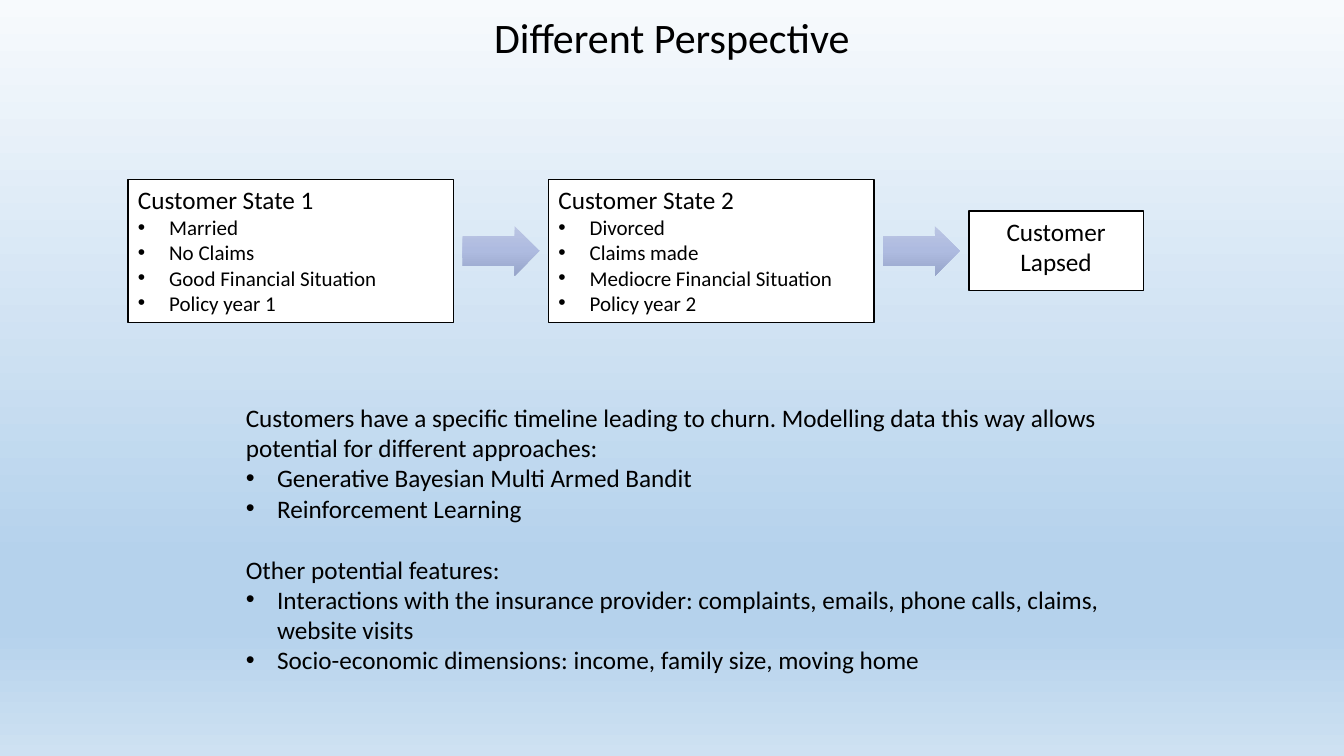
from dataclasses import dataclass

from lxml.etree import SubElement
from pptx import Presentation
from pptx.dml.color import RGBColor
from pptx.enum.shapes import MSO_SHAPE as SHAPE
from pptx.enum.text import MSO_ANCHOR as ANCHOR, MSO_AUTO_SIZE as FIT, PP_ALIGN as ALIGN
from pptx.oxml.ns import qn
from pptx.util import Inches, Pt

# Content: each text line is (text, is_bullet)
TITLE = "Different Perspective"
STATES = [
    ("Customer State 1", ["Married", "No Claims", "Good Financial Situation", "Policy year 1"]),
    ("Customer State 2", ["Divorced", "Claims made", "Mediocre Financial Situation", "Policy year 2"]),
]
OUTCOME = "Customer Lapsed"
NOTES = [
    ("Customers have a specific timeline leading to churn. Modelling data this way "
     "allows potential for different approaches:",
     ["Generative Bayesian Multi Armed Bandit", "Reinforcement Learning"]),
    ("Other potential features:",
     ["Interactions with the insurance provider: complaints, emails, phone calls, "
      "claims, website visits",
      "Socio-economic dimensions: income, family size, moving home"]),
]


@dataclass(frozen=True)
class Theme:
    font: str = "Calibri"
    ink: str = "000000"
    paper: str = "FFFFFF"
    sky: tuple = ((0, "F7FAFD"), (74, "B5D2EC"), (83, "B5D2EC"), (100, "CEE1F2"))
    arrow: tuple = ((0, "BBC5E3"), (50, "AEBBE0"), (100, "97A5CA"))
    title: int = 30
    body: int = 18
    detail: int = 15
    section_gap: int = 22


T = Theme()

# Layout in inches: a row of steps with an equal pitch, centred on one line
W, H = 13.33, 7.5
ROW_LEFT, ROW_MID, PITCH = 1.27, 2.49, 4.17
STATE_W, STATE_H = 3.23, 1.42
OUTCOME_W, OUTCOME_H = 1.73, 0.79
ARROW_W, ARROW_H = 0.76, 0.49
INDENT = 0.31


def box(left, top, width, height):
    return [Inches(v) for v in (left, top, width, height)]


def gradient(fill, stops):
    """Fill from top to bottom with stops of (percent, colour)."""
    fill.gradient()
    fill.gradient_angle = 270
    gs_list = fill.gradient_stops[0]._gs.getparent()
    for gs in list(gs_list):
        gs_list.remove(gs)
    for percent, color in stops:
        gs = SubElement(gs_list, qn("a:gs"), pos=str(percent * 1000))
        SubElement(gs, qn("a:srgbClr"), val=color)


def style(p, size, align=ALIGN.LEFT):
    p.alignment = align
    for r in p.runs:
        r.font.name, r.font.size = T.font, Pt(size)
        r.font.color.rgb = RGBColor.from_string(T.ink)


def write(tf, sections, detail_size):
    """Write sections of (heading, bullets) into a text frame."""
    tf.word_wrap, tf.auto_size, tf.vertical_anchor = True, FIT.NONE, ANCHOR.TOP
    for i, (heading, bullets) in enumerate(sections):
        p = tf.add_paragraph() if i else tf.paragraphs[0]
        p.text = heading
        if i:
            p.space_before = Pt(T.section_gap)
        style(p, T.body)
        for text in bullets:
            p = tf.add_paragraph()
            p.text = text
            pPr = p._p.get_or_add_pPr()
            pPr.set("marL", str(Inches(INDENT)))
            pPr.set("indent", str(-Inches(INDENT)))
            SubElement(pPr, qn("a:buFont"), typeface="Arial")
            SubElement(pPr, qn("a:buChar"), char="•")
            style(p, detail_size)


def add_step(shapes, column, width, height):
    left = ROW_LEFT + column * PITCH
    sp = shapes.add_shape(SHAPE.RECTANGLE, *box(left, ROW_MID - height / 2, width, height))
    sp.shadow.inherit = False
    sp.fill.solid()
    sp.fill.fore_color.rgb = RGBColor.from_string(T.paper)
    sp.line.color.rgb = RGBColor.from_string(T.ink)
    sp.line.width = Pt(1)
    return sp


def add_arrow(shapes, column):
    """Centre an arrow in the gap after a state box."""
    left = ROW_LEFT + column * PITCH + (STATE_W + PITCH - ARROW_W) / 2
    sp = shapes.add_shape(SHAPE.RIGHT_ARROW, *box(left, ROW_MID - ARROW_H / 2, ARROW_W, ARROW_H))
    sp.adjustments[0], sp.adjustments[1] = 0.6, 0.5
    sp.rotation = 359.8
    sp.shadow.inherit = False
    sp.line.fill.background()
    gradient(sp.fill, T.arrow)


def main():
    prs = Presentation()
    prs.slide_width, prs.slide_height = Inches(W), Inches(H)
    s = prs.slides.add_slide(prs.slide_layouts[5])
    gradient(s.background.fill, T.sky)

    # Title
    title = s.shapes.title
    title.left, title.top, title.width, title.height = box(W * 0.36, 0, W * 0.28, 0.79)
    tf = title.text_frame
    tf.text = TITLE
    tf.word_wrap, tf.auto_size, tf.vertical_anchor = True, FIT.NONE, ANCHOR.MIDDLE
    tf.paragraphs[0].line_spacing = 0.9
    style(tf.paragraphs[0], T.title, ALIGN.CENTER)

    # States, each followed by an arrow, then the outcome
    for column, state in enumerate(STATES):
        sp = add_step(s.shapes, column, STATE_W, STATE_H)
        write(sp.text_frame, [state], T.detail)
        add_arrow(s.shapes, column)
    sp = add_step(s.shapes, len(STATES), OUTCOME_W, OUTCOME_H)
    write(sp.text_frame, [(OUTCOME, [])], T.detail)
    sp.text_frame.paragraphs[0].alignment = ALIGN.CENTER

    # Explanation
    sp = s.shapes.add_textbox(*box(2.34, 3.94, W * 0.65, 2.83))
    write(sp.text_frame, NOTES, T.body)

    prs.save("out.pptx")


if __name__ == "__main__":
    main()
